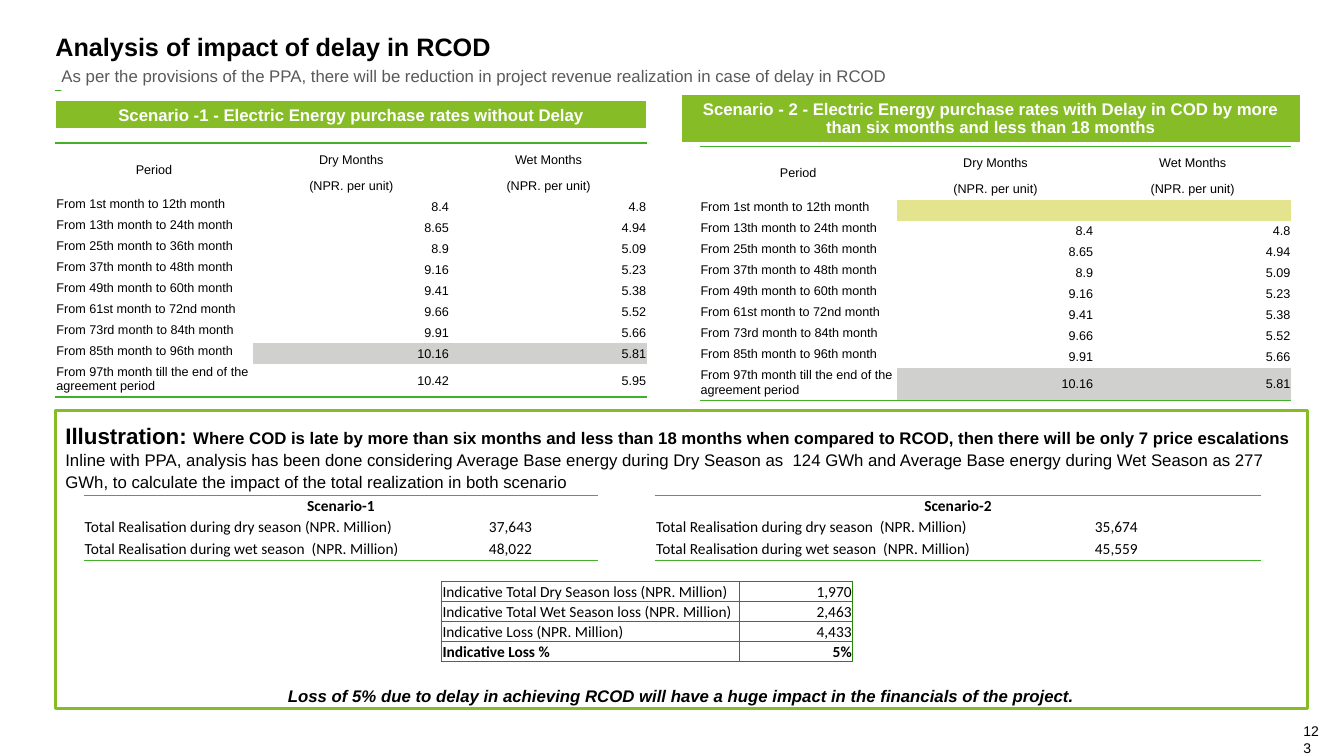
from dataclasses import dataclass

from lxml.etree import SubElement
from pptx import Presentation
from pptx.dml.color import RGBColor
from pptx.enum.shapes import MSO_CONNECTOR, MSO_SHAPE
from pptx.enum.text import MSO_ANCHOR, MSO_AUTO_SIZE, PP_ALIGN
from pptx.oxml.ns import qn
from pptx.util import Pt

# Content
TITLE = "Analysis of impact of delay in RCOD"
SUBTITLE = ("As per the provisions of the PPA, there will be reduction in project "
            "revenue realization in case of delay in RCOD")
PAGE_NUMBER = "123"
PERIODS = [f"From {span} month" for span in (
    "1st month to 12th", "13th month to 24th", "25th month to 36th",
    "37th month to 48th", "49th month to 60th", "61st month to 72nd",
    "73rd month to 84th", "85th month to 96th")]
PERIODS.append("From 97th month till the end of the agreement period")
RATES = [("8.4", "4.8"), ("8.65", "4.94"), ("8.9", "5.09"),
         ("9.16", "5.23"), ("9.41", "5.38"), ("9.66", "5.52"),
         ("9.91", "5.66"), ("10.16", "5.81"), ("10.42", "5.95")]
DELAYED_RATES = [("", "")] + RATES[:-1]
LAST_DELAYED_RATE = RATES[-2]
UNIT = "(NPR. per unit)"
# Banner text, banner (left, top, width, height), table (left, top), rates
SCENARIOS = [
    ("Scenario -1 - Electric Energy purchase rates without Delay",
     (39.6, 72, 422.6, 21), (39.6, 102.2), RATES),
    ("Scenario - 2 - Electric Energy purchase rates with Delay in COD by more "
     "than six months and less than 18 months",
     (486.7, 67.7, 442.1, 35), (499.7, 104.6), DELAYED_RATES),
]
ILLUSTRATION = ("Illustration: ",
                "Where COD is late by more than six months and less than 18 months when "
                "compared to RCOD, then there will be only 7 price escalations")
ANALYSIS = ("Inline with PPA, analysis has been done considering Average Base energy "
            "during Dry Season as  124 GWh and Average Base energy during Wet Season as "
            "277 GWh, to calculate the impact of the total realization in both scenario")
CONCLUSION = ("Loss of 5% due to delay in achieving RCOD will have a huge impact in the "
              "financials of the project.")
# Heading, left, column widths, indent of the values, rows
REALISATIONS = [
    ("Scenario-1", 59.8, (242.5, 125), 47,
     [("Total Realisation during dry season (NPR. Million)", "37,643"),
      ("Total Realisation during wet season  (NPR. Million)", "48,022")]),
    ("Scenario-2", 468, (291.6, 141.1), 22.5,
     [("Total Realisation during dry season  (NPR. Million)", "35,674"),
      ("Total Realisation during wet season  (NPR. Million)", "45,559")]),
]
LOSSES = [("Indicative Total Dry Season loss (NPR. Million)", "1,970"),
          ("Indicative Total Wet Season loss (NPR. Million)", "2,463"),
          ("Indicative Loss (NPR. Million)", "4,433"),
          ("Indicative Loss %", "5%")]


@dataclass(frozen=True)
class Theme:
    heading_font: str = "Arial"
    table_font: str = "Calibri"
    black: str = "000000"
    white: str = "FFFFFF"
    grey: str = "595959"
    lime: str = "86BC25"
    rule: str = "43B02A"
    grid: str = "26890D"
    same_rate: str = "D0D0CE"
    no_rate: str = "E3E48D"
    title: float = 18
    lead: float = 16
    body: float = 12
    summary: float = 11
    number: float = 10
    rates: float = 9


THEME = Theme()
NARROW = (0.7, 0.7, 0.7, 0)
WIDE = (7.2, 3.6, 7.2, 3.6)
NO_GRID_STYLE = "{2D5ABB26-0587-4C30-8999-92F81FD0307C}"
LEFT, CENTER, RIGHT = PP_ALIGN.LEFT, PP_ALIGN.CENTER, PP_ALIGN.RIGHT


def rgb(color):
    return RGBColor.from_string(color)


def add_run(paragraph, text, size, color=THEME.black, bold=False, italic=False,
            font=THEME.heading_font):
    run = paragraph.add_run()
    run.text = text
    run.font.name, run.font.size = font, Pt(size)
    run.font.bold, run.font.italic = bold, italic
    run.font.color.rgb = rgb(color)


def set_frame(frame, margins=(0, 0, 0, 0)):
    frame.word_wrap = True
    frame.auto_size = MSO_AUTO_SIZE.NONE
    frame.vertical_anchor = MSO_ANCHOR.TOP
    (frame.margin_left, frame.margin_top,
     frame.margin_right, frame.margin_bottom) = map(Pt, margins)


def place(shape, left, top, width, height):
    shape.left, shape.top, shape.width, shape.height = map(Pt, (left, top, width, height))


def add_table(slide, left, top, widths, heights):
    frame = slide.shapes.add_table(len(heights), len(widths), Pt(left), Pt(top),
                                   Pt(sum(widths)), Pt(sum(heights)))
    table = frame.table
    table.first_row = table.horz_banding = False
    frame._element.find(".//" + qn("a:tableStyleId")).text = NO_GRID_STYLE
    for column, width in zip(table.columns, widths):
        column.width = Pt(width)
    for row, height in zip(table.rows, heights):
        row.height = Pt(height)
    return table


def write_cell(cell, text, size, align=LEFT, anchor=MSO_ANCHOR.MIDDLE, margins=NARROW,
               fill=None, borders=None, **style):
    """Borders map the sides L, R, T and B to (colour, width)."""
    (cell.margin_left, cell.margin_top,
     cell.margin_right, cell.margin_bottom) = map(Pt, margins)
    cell.vertical_anchor = anchor
    properties = cell._tc.get_or_add_tcPr()
    for side in "LRTB":
        if side in (borders or {}):
            color, width = borders[side]
            line = SubElement(properties, qn("a:ln" + side), w=str(Pt(width)))
            SubElement(SubElement(line, qn("a:solidFill")), qn("a:srgbClr"), val=color)
    if fill:
        cell.fill.solid()
        cell.fill.fore_color.rgb = rgb(fill)
    else:
        cell.fill.background()
    paragraph = cell.text_frame.paragraphs[0]
    paragraph.alignment = align
    if text:
        add_run(paragraph, text, size, **style)
    else:
        SubElement(paragraph._p, qn("a:endParaRPr"), sz=str(int(size * 100)))


def outer_rules(row, last):
    return {side: (THEME.rule, 1) for side, edge in (("T", 0), ("B", last)) if row == edge}


def add_scenario(slide, banner, banner_box, position, rates):
    # Rate table: two heading rows, then one row for each period
    rows = [("Period", "Dry Months", "Wet Months"), ("", UNIT, UNIT)]
    rows += [(period, *pair) for period, pair in zip(PERIODS, rates)]
    table = add_table(slide, *position, [140.9] * 3, [23] + [15] * 9 + [23.5])
    for r, row in enumerate(rows):
        for c, text in enumerate(row):
            fill = None
            if c and row[1:] == LAST_DELAYED_RATE:
                fill = THEME.same_rate
            elif c and not text:
                fill = THEME.no_rate
            is_period = r > 1 and c == 0
            align = CENTER if r < 2 else RIGHT if c else LEFT
            write_cell(table.cell(r, c), text, THEME.rates, align,
                       MSO_ANCHOR.TOP if is_period else MSO_ANCHOR.MIDDLE,
                       fill=fill, borders=outer_rules(r, len(rows) - 1))
    table.cell(0, 0).merge(table.cell(1, 0))
    # Banner
    left, top, width, height = banner_box
    table = add_table(slide, left, top, [width], [height])
    edges = {side: (THEME.white, 3 if side == "B" else 1) for side in "LRTB"}
    write_cell(table.cell(0, 0), banner, THEME.body, CENTER, MSO_ANCHOR.TOP, WIDE,
               THEME.lime, edges, color=THEME.white, bold=True)


def add_illustration(slide):
    box = slide.shapes.add_shape(MSO_SHAPE.RECTANGLE, Pt(39.6), Pt(293), Pt(894.2), Pt(213.1))
    box.shadow.inherit = False
    box.fill.solid()
    box.fill.fore_color.rgb = rgb(THEME.white)
    box.line.color.rgb, box.line.width = rgb(THEME.lime), Pt(2)
    frame = box.text_frame
    set_frame(frame, (7.2, 7.2, 7.2, 2))
    lead, analysis, conclusion = (frame.paragraphs[0], frame.add_paragraph(),
                                  frame.add_paragraph())
    for paragraph in frame.paragraphs:
        paragraph.alignment, paragraph.line_spacing = LEFT, 1.06
    add_run(lead, ILLUSTRATION[0], THEME.lead, bold=True)
    add_run(lead, ILLUSTRATION[1], THEME.body, bold=True)
    add_run(analysis, ANALYSIS, THEME.body)
    conclusion.alignment, conclusion.space_before = CENTER, Pt(138)
    add_run(conclusion, CONCLUSION, THEME.body, bold=True, italic=True)


def add_realisation(slide, heading, left, widths, indent, rows):
    table = add_table(slide, left, 354.2, widths, [14.4, 15.8, 15.8])
    for r, row in enumerate([(heading, "")] + rows):
        for c, text in enumerate(row):
            margins = (indent, *NARROW[1:]) if r and c else NARROW
            write_cell(table.cell(r, c), text, THEME.summary, LEFT if r else CENTER,
                       MSO_ANCHOR.MIDDLE if r else MSO_ANCHOR.BOTTOM, margins,
                       borders=outer_rules(r, len(rows)), font=THEME.table_font, bold=r == 0)
    table.cell(0, 0).merge(table.cell(0, 1))


def add_losses(slide):
    table = add_table(slide, 315.4, 415.4, [213.1, 80.6], [14] * len(LOSSES))
    grid = {side: (THEME.grid, 1) for side in "LRTB"}
    for r, row in enumerate(LOSSES):
        for c, text in enumerate(row):
            write_cell(table.cell(r, c), text, THEME.summary, RIGHT if c else LEFT,
                       MSO_ANCHOR.BOTTOM, borders=grid, font=THEME.table_font,
                       bold=r == len(LOSSES) - 1)


def main():
    presentation = Presentation()
    presentation.slide_width, presentation.slide_height = Pt(960), Pt(540)
    slide = presentation.slides.add_slide(presentation.slide_layouts[1])
    title, subtitle = slide.placeholders

    # Title and page number
    place(title, 39.6, 22.3, 881.3, 26.6)
    set_frame(title.text_frame)
    title.text_frame.paragraphs[0].alignment = LEFT
    add_run(title.text_frame.paragraphs[0], TITLE, THEME.title, bold=True)
    number = slide.shapes.add_textbox(Pt(931), Pt(516.2), Pt(12.2), Pt(12.2))
    set_frame(number.text_frame)
    add_run(number.text_frame.paragraphs[0], PAGE_NUMBER, THEME.number)

    # Header rule
    rule = slide.shapes.add_connector(MSO_CONNECTOR.STRAIGHT, Pt(39.6), Pt(64.8),
                                      Pt(920.9), Pt(64.8))
    rule.line.color.rgb, rule.line.width = rgb(THEME.rule), Pt(1)
    SubElement(rule._element.spPr, qn("a:effectLst"))

    # Scenarios, illustration and its tables
    for scenario in SCENARIOS:
        add_scenario(slide, *scenario)
    add_illustration(slide)
    for realisation in REALISATIONS:
        add_realisation(slide, *realisation)
    add_losses(slide)

    # Subtitle, in front of the header rule
    place(subtitle, 43.9, 46.8, 902.2, 20.2)
    subtitle.fill.solid()
    subtitle.fill.fore_color.rgb = rgb(THEME.white)
    set_frame(subtitle.text_frame)
    paragraph = subtitle.text_frame.paragraphs[0]
    properties = paragraph._p.get_or_add_pPr()
    properties.set("marL", "0")
    properties.set("indent", "0")
    SubElement(properties, qn("a:buNone"))
    paragraph.alignment, paragraph.space_before = PP_ALIGN.JUSTIFY, Pt(0)
    add_run(paragraph, SUBTITLE, THEME.body, THEME.grey)
    slide.shapes._spTree.append(subtitle._element)

    presentation.save("out.pptx")


if __name__ == "__main__":
    main()
